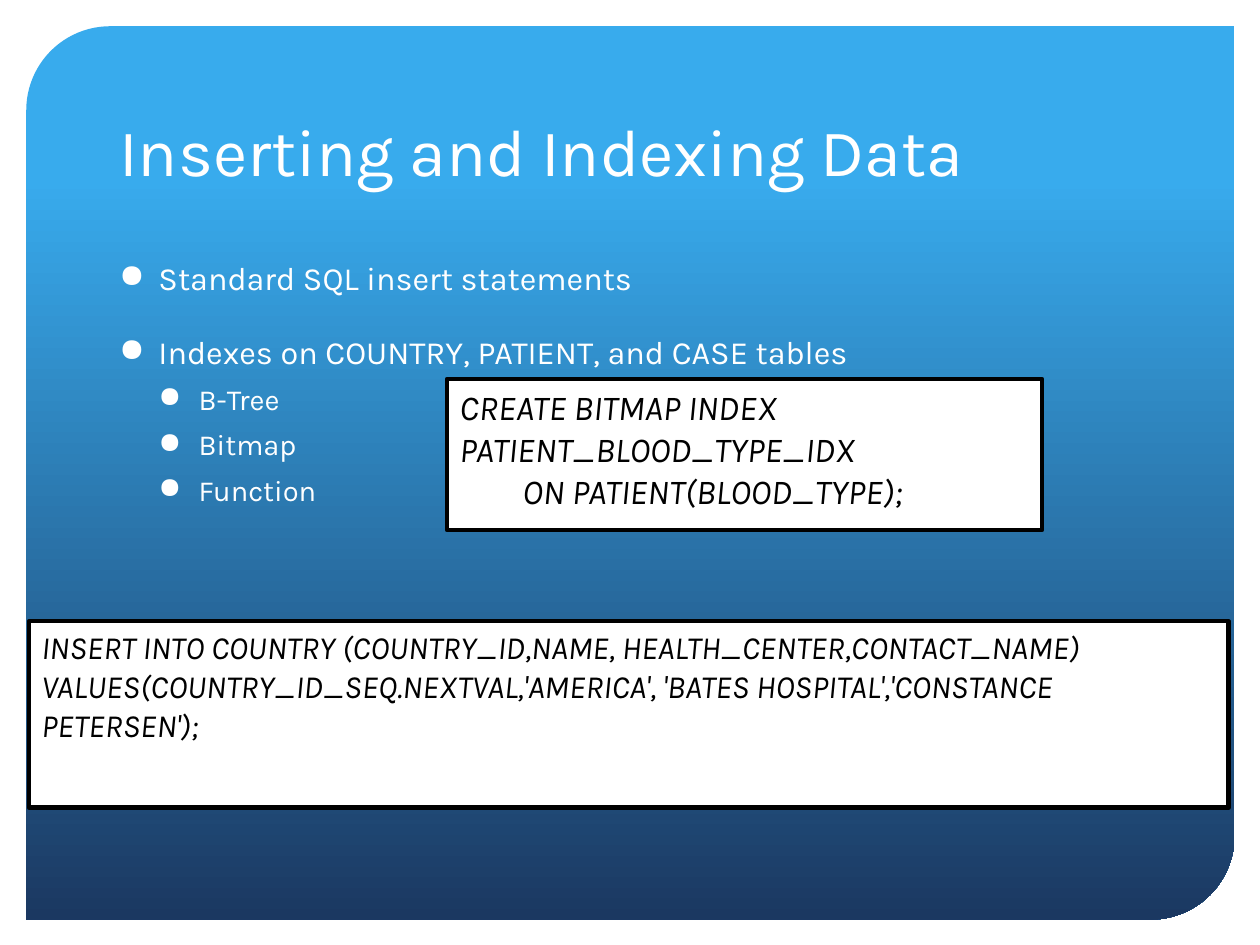
import pptx
import pptx.dml.color
import pptx.enum.shapes
import pptx.enum.text
import pptx.oxml.ns
import pptx.util
from lxml import etree

Pt = pptx.util.Pt
FONT = "Karla"
WHITE = "FFFFFF"
BLACK = "000000"
TOPICS = [
    ("Standard SQL insert statements", 0),
    ("Indexes on COUNTRY, PATIENT, and CASE tables", 0),
    ("B-Tree", 1),
    ("Bitmap", 1),
    ("Function", 1),
]
LEVELS = [
    {"size": 18.5, "before": 20, "margin": 22.5, "hanging": 22.5},
    {"size": 16.6, "before": 6, "margin": 45.5, "hanging": 23},
]
INSERT_CODE = [
    "INSERT INTO COUNTRY (COUNTRY_ID,NAME, HEALTH_CENTER,CONTACT_NAME) "
    "VALUES(COUNTRY_ID_SEQ.NEXTVAL,'AMERICA', 'BATES HOSPITAL','CONSTANCE PETERSEN');"
]
INDEX_CODE = ["CREATE BITMAP INDEX PATIENT_BLOOD_TYPE_IDX", "\tON PATIENT(BLOOD_TYPE);"]


def rgb(value):
    return pptx.dml.color.RGBColor.from_string(value)


def format_text(paragraph, size, color, italic=False):
    paragraph.alignment = pptx.enum.text.PP_ALIGN.LEFT
    for run in paragraph.runs:
        run.font.name = FONT
        run.font.size = Pt(size)
        run.font.italic = italic
        run.font.color.rgb = rgb(color)


def set_frame(frame, anchor):
    frame.word_wrap = True
    frame.auto_size = pptx.enum.text.MSO_AUTO_SIZE.NONE
    frame.vertical_anchor = anchor


def add_title(slide, text, left, top, width, height):
    title = slide.shapes.title
    title.left, title.top, title.width, title.height = map(Pt, (left, top, width, height))
    title.text_frame.text = text
    set_frame(title.text_frame, pptx.enum.text.MSO_ANCHOR.BOTTOM)
    format_text(title.text_frame.paragraphs[0], 38, WHITE)


def add_backdrop(slide, left, top, width, height):
    backdrop = slide.shapes.add_shape(
        pptx.enum.shapes.MSO_SHAPE.ROUND_2_DIAG_RECTANGLE, *map(Pt, (left, top, width, height))
    )
    backdrop.shadow.inherit = False
    backdrop.adjustments[0] = 0.094
    backdrop.adjustments[1] = 0
    backdrop.line.fill.background()
    backdrop.fill.gradient()
    backdrop.fill.gradient_angle = 270
    shades = [(0.17, "38ABED"), (1, "1B3861")]
    for stop, (position, color) in zip(backdrop.fill.gradient_stops, shades):
        stop.position = position
        stop.color.rgb = rgb(color)
    slide.shapes.title.element.addprevious(backdrop.element)


def add_bullet(paragraph, margin, hanging):
    properties = paragraph._p.get_or_add_pPr()
    properties.set("marL", str(Pt(margin)))
    properties.set("indent", str(-Pt(hanging)))
    bullet = etree.SubElement(properties, pptx.oxml.ns.qn("a:buChar"))
    bullet.set("char", "●")


def add_topics(slide, topics, left, top, width, height):
    frame = slide.shapes.add_textbox(*map(Pt, (left, top, width, height))).text_frame
    set_frame(frame, pptx.enum.text.MSO_ANCHOR.TOP)
    frame.text = "\n".join(text for text, _ in topics)
    for paragraph, (_, level) in zip(frame.paragraphs, topics):
        style = LEVELS[level]
        paragraph.level = level
        paragraph.space_before = Pt(style["before"])
        format_text(paragraph, style["size"], WHITE)
        add_bullet(paragraph, style["margin"], style["hanging"])


def add_code_box(slide, lines, size, left, top, width, height):
    box = slide.shapes.add_shape(
        pptx.enum.shapes.MSO_SHAPE.RECTANGLE, *map(Pt, (left, top, width, height))
    )
    box.shadow.inherit = False
    box.fill.solid()
    box.fill.fore_color.rgb = rgb(WHITE)
    box.line.color.rgb = rgb(BLACK)
    box.line.width = Pt(2.5)
    set_frame(box.text_frame, pptx.enum.text.MSO_ANCHOR.TOP)
    box.text_frame.text = "\n".join(lines)
    for paragraph in box.text_frame.paragraphs:
        format_text(paragraph, size, BLACK, italic=True)


def main():
    presentation = pptx.Presentation()
    presentation.slide_width = Pt(720)
    presentation.slide_height = Pt(540)
    slide = presentation.slides.add_slide(presentation.slide_layouts[5])
    add_backdrop(slide, 15, 15, 690.5, 510.5)
    add_title(slide, "Inserting and Indexing Data", 61, 30, 597, 82)
    add_topics(slide, TOPICS, 61, 144, 629, 135)
    add_code_box(slide, INSERT_CODE, 18.5, 16.5, 355, 685.5, 106.5)
    add_code_box(slide, INDEX_CODE, 20, 255.5, 216.5, 340, 86.5)
    presentation.save("out.pptx")


if __name__ == "__main__":
    main()
